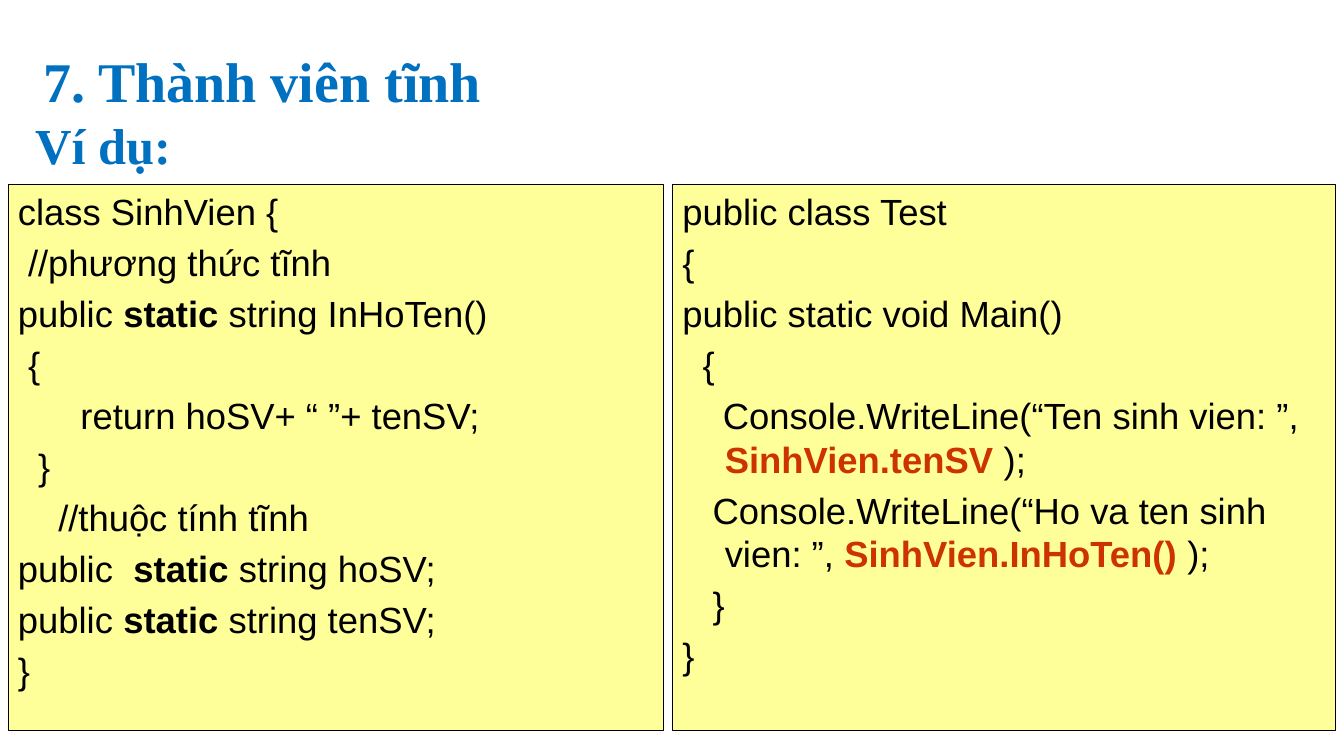
from dataclasses import dataclass

from lxml import etree
from pptx import Presentation, util as u
from pptx.dml.color import RGBColor
from pptx.enum import shapes, text
from pptx.oxml.ns import qn


@dataclass
class Theme:
    blue: str = "0070C0"
    red: str = "CC3300"
    black: str = "000000"
    cream: str = "FFFF99"
    head: str = "Times New Roman"
    code: str = "Arial"
    title: int = 40
    sub: int = 36
    body: int = 26


look = Theme()
HANG = 0.42  # hanging indent of code lines, inches
STEP = 0.1   # width of one code column, inches


def write(par, words, font=look.code, size=look.body, color=look.black, bold=False):
    run = par.add_run()
    run.text = words
    run.font.name, run.font.size, run.font.bold = font, u.Pt(size), bold
    run.font.color.rgb = RGBColor.from_string(color)


def indent(par, cols):
    """Hang the paragraph, start it cols columns in, and add 20% space above."""
    props = par._p.get_or_add_pPr()
    props.set("marL", str(u.Inches(HANG)))
    props.set("indent", str(u.Inches(cols * STEP - HANG)))
    above = etree.SubElement(props, qn("a:spcBef"))
    etree.SubElement(above, qn("a:spcPct")).set("val", "20000")


deck = Presentation()
deck.slide_width, deck.slide_height = u.Inches(13.33), u.Inches(7.5)
slide = deck.slides.add_slide(deck.slide_layouts[5])

# Each line: start column, then its pieces; odd pieces are stressed
student = [
    (0, "class SinhVien {"),
    (1, "//phương thức tĩnh"),
    (0, "public ", "static", " string InHoTen()"),
    (1, "{"),
    (6.2, "return hoSV+ “ ”+ tenSV;"),
    (2, "}"),
    (4, "//thuộc tính tĩnh"),
    (0, "public  ", "static", " string hoSV;"),
    (0, "public ", "static", " string tenSV;"),
    (0, "}"),
]
test = [
    (0, "public class Test"),
    (0, "{"),
    (0, "public static void Main()"),
    (2, "{"),
    (4, "Console.WriteLine(“Ten sinh vien: ”, ", "SinhVien.tenSV", " );"),
    (3, "Console.WriteLine(“Ho va ten sinh vien: ”, ", "SinhVien.InHoTen()", " );"),
    (3, "}"),
    (0, "}"),
]

# Code panels
for left, width, lines, stress in (
    (0.08, 6.5, student, look.black),
    (6.67, 6.58, test, look.red),
):
    panel = slide.shapes.add_shape(
        shapes.MSO_SHAPE.RECTANGLE, *map(u.Inches, (left, 1.83, width, 5.42)))
    panel.shadow.inherit = False
    panel.fill.solid()
    panel.fill.fore_color.rgb = RGBColor.from_string(look.cream)
    panel.line.color.rgb = RGBColor.from_string(look.black)
    panel.line.width = u.Pt(0.75)
    frame = panel.text_frame
    frame.word_wrap = True
    frame.vertical_anchor = text.MSO_ANCHOR.TOP
    for row, (cols, *parts) in enumerate(lines):
        par = frame.add_paragraph() if row else frame.paragraphs[0]
        par.alignment = text.PP_ALIGN.LEFT
        indent(par, cols)
        for spot, part in enumerate(parts):
            bold = spot % 2 == 1
            write(par, part, color=stress if bold else look.black, bold=bold)

# Title and subtitle
title = slide.shapes.title
title.left, title.top, title.width, title.height = map(u.Inches, (0.33, 0.58, 8.62, 0.52))
sub = slide.shapes.add_textbox(*map(u.Inches, (0.25, 1.08, 2.58, 0.71)))
for box, words, size, anchor in (
    (title, "7. Thành viên tĩnh", look.title, text.MSO_ANCHOR.MIDDLE),
    (sub, "Ví dụ:", look.sub, text.MSO_ANCHOR.TOP),
):
    frame = box.text_frame
    frame.word_wrap = True
    frame.auto_size = text.MSO_AUTO_SIZE.NONE
    frame.vertical_anchor = anchor
    par = frame.paragraphs[0]
    par.alignment = text.PP_ALIGN.LEFT
    write(par, words, font=look.head, size=size, color=look.blue, bold=True)
title.text_frame.paragraphs[0].line_spacing = 0.9

deck.save("out.pptx")
